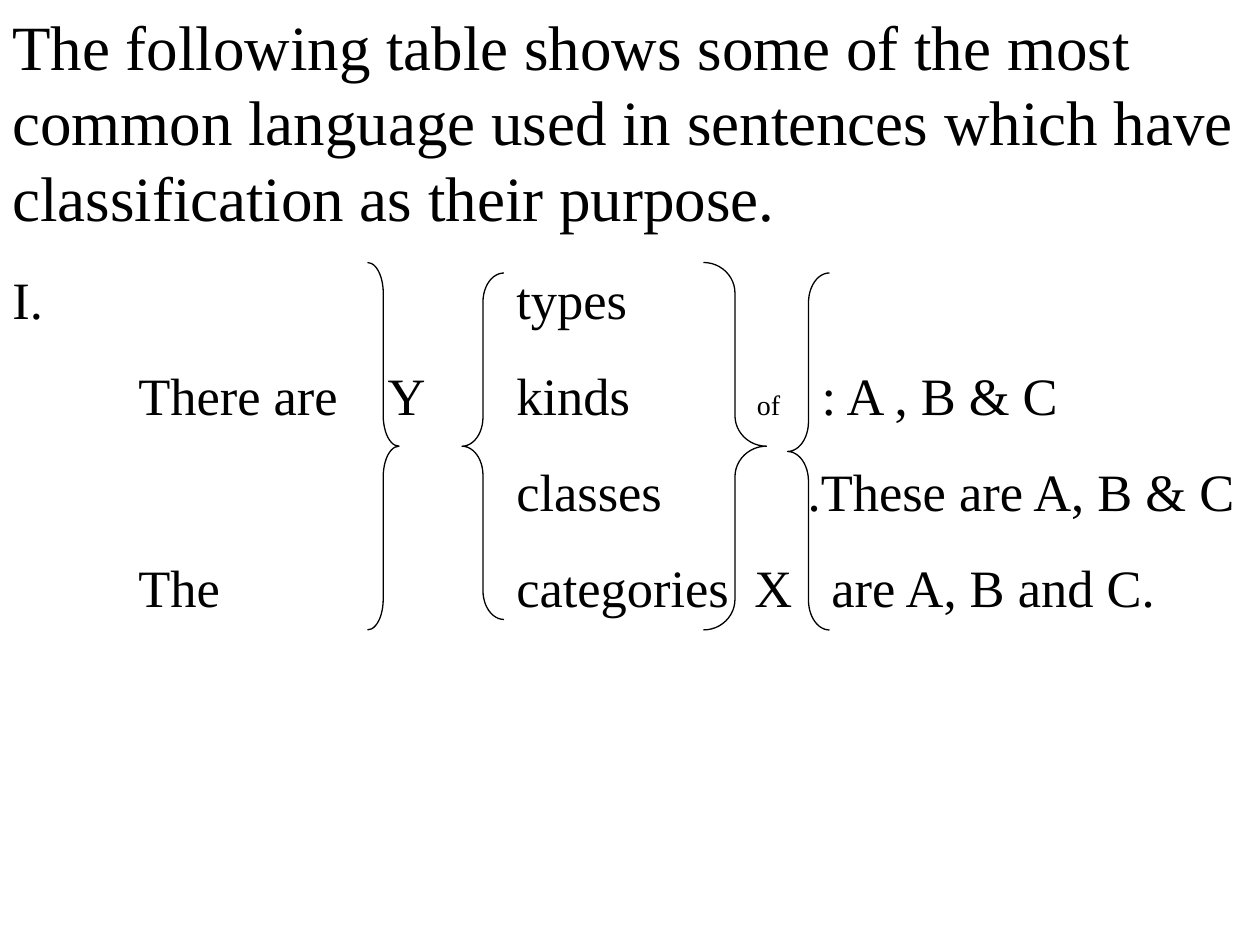
from lxml.etree import SubElement
from pptx import Presentation
from pptx.dml.color import RGBColor
from pptx.enum.shapes import MSO_SHAPE
from pptx.oxml.ns import qn
from pptx.util import Pt

BLACK = RGBColor(0, 0, 0)
WHITE = RGBColor(255, 255, 255)
FONT = "Times New Roman"

INTRO = ("The following table shows some of the most common language used in "
         "sentences which have classification as their purpose.")
ROWS = [
    ([("I.\ttypes", 30)], [288]),
    ([("\tThere are\tY\tkinds\t", 30), ("of", 16), ("\t: A , B & C", 30)],
     [72, 214.5, 288, 425.5, 462.5]),
    ([("\tclasses\t.These are A, B & C", 30)], [288, 454.5]),
    ([("\tThe\tcategories\tX\tare A, B and C.", 30)], [72, 288, 424, 468]),
]
BRACES = [
    (MSO_SHAPE.LEFT_BRACE, 264, 6, 24, 198),
    (MSO_SHAPE.RIGHT_BRACE, 210, 0, 18, 210),
    (MSO_SHAPE.LEFT_BRACE, 450, 6, 24, 204),
    (MSO_SHAPE.RIGHT_BRACE, 402, 0, 36, 210),
]


def add_panel(slide, left, top, width, height):
    panel = slide.shapes.add_shape(
        MSO_SHAPE.RECTANGLE, Pt(left), Pt(top), Pt(width), Pt(height))
    panel.shadow.inherit = False
    panel.fill.solid()
    panel.fill.fore_color.rgb = WHITE
    panel.line.color.rgb = WHITE
    panel.line.width = Pt(0.75)


def set_tabs(paragraph, stops):
    tab_list = SubElement(paragraph._p.get_or_add_pPr(), qn("a:tabLst"))
    for stop in stops:
        SubElement(tab_list, qn("a:tab"), pos=str(Pt(stop)), algn="l")


def style_paragraph(paragraph, size, line_height):
    paragraph.line_spacing = Pt(line_height)
    paragraph.font.name = FONT
    paragraph.font.size = Pt(size)
    paragraph.font.color.rgb = BLACK


def add_sentences(slide, left, top, width, height):
    sentences = slide.shapes.add_textbox(
        Pt(left), Pt(top), Pt(width), Pt(height)).text_frame
    sentences.word_wrap = True
    intro = sentences.paragraphs[0]
    intro.text = INTRO
    style_paragraph(intro, 36, 43)
    for pieces, stops in ROWS:
        row = sentences.add_paragraph()
        set_tabs(row, stops)
        style_paragraph(row, 30, 36.2)
        row.space_before = Pt(18.7)
        for wording, size in pieces:
            run = row.add_run()
            run.text = wording
            if size != 30:
                run.font.size = Pt(size)


def add_braces(slide, left, top):
    for kind, x, y, width, height in BRACES:
        brace = slide.shapes.add_shape(
            kind, Pt(left + x), Pt(top + y), Pt(width), Pt(height))
        brace.shadow.inherit = False
        brace.adjustments[0] = height / 12 / width
        brace.fill.background()
        brace.line.color.rgb = BLACK
        brace.line.width = Pt(0.75)


def main():
    presentation = Presentation()
    presentation.slide_width = Pt(720)
    presentation.slide_height = Pt(540)
    slide = presentation.slides.add_slide(presentation.slide_layouts[6])
    add_panel(slide, 0, 138, 720, 258)
    add_sentences(slide, 0, 1, 720, 539)
    add_braces(slide, 0, 150)
    presentation.save("out.pptx")


if __name__ == "__main__":
    main()
